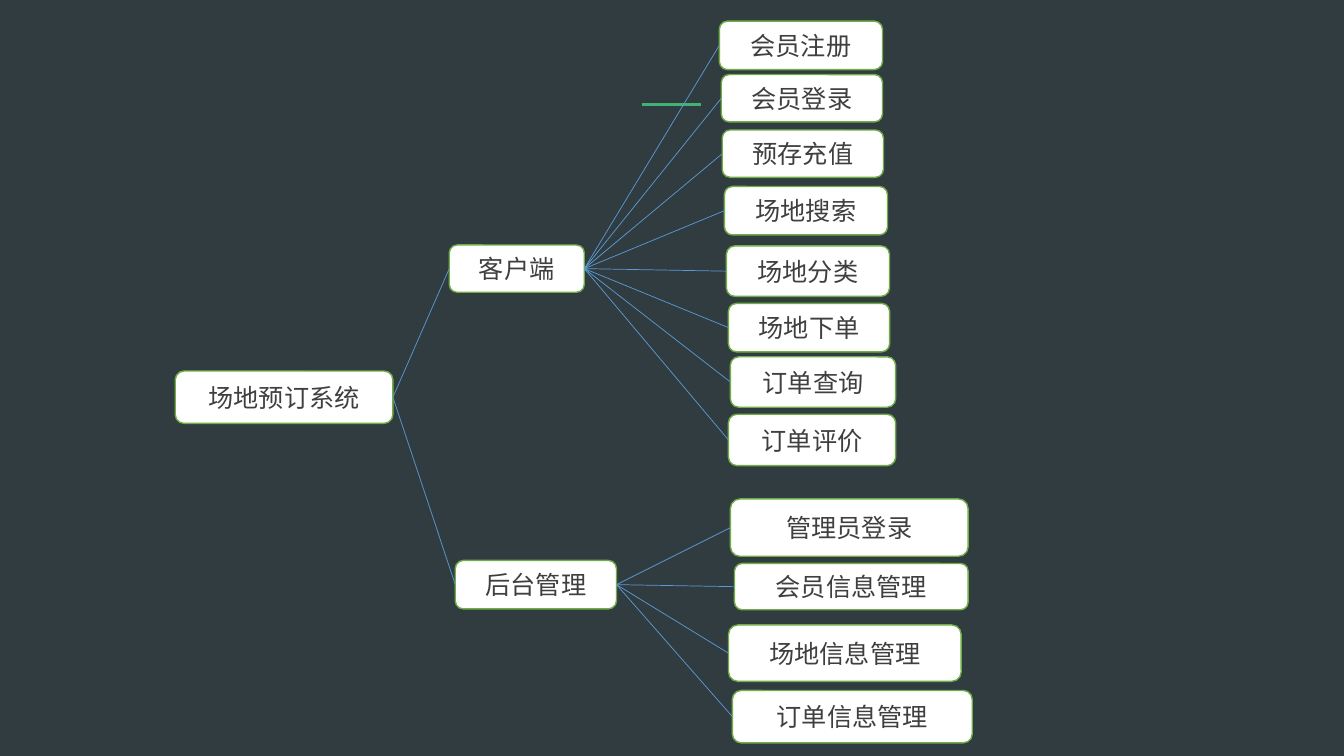
"""Build the function tree slide of a venue booking system."""
from dataclasses import dataclass

from lxml import etree
from pptx import Presentation
from pptx.dml.color import RGBColor
from pptx.enum.shapes import MSO_CONNECTOR, MSO_SHAPE
from pptx.enum.text import MSO_ANCHOR, PP_ALIGN
from pptx.oxml.ns import qn
from pptx.shapes.autoshape import Shape
from pptx.shapes.connector import Connector
from pptx.slide import Slide
from pptx.util import Pt

ROUNDED = MSO_SHAPE.ROUNDED_RECTANGLE
STRAIGHT = MSO_CONNECTOR.STRAIGHT
CENTER = PP_ALIGN.CENTER
MIDDLE = MSO_ANCHOR.MIDDLE
LEFT_SIDE, RIGHT_SIDE = 1, 3
BLANK_LAYOUT = 6

BACKGROUND = "313C41"
ACCENT = "41B176"
BOX_FILL = "FFFFFF"
BOX_LINE = "70AD47"
BRANCH_LINE = "5B9BD5"
TEXT_COLOR = "3F3F3F"
FONT = "Calibri"


@dataclass(frozen=True)
class Node:
    """A labelled box of the tree, with its place in points and its children."""

    label: str
    left: float
    top: float
    width: float
    height: float
    children: tuple["Node", ...] = ()


CLIENT = Node("客户端", 321.1, 175, 96.5, 33.8, (
    Node("会员注册", 514.1, 15.1, 116.6, 34.6),
    Node("会员登录", 515.5, 53.3, 115.2, 33.8),
    Node("预存充值", 516.2, 92.9, 115.2, 33.8),
    Node("场地搜索", 517.7, 133.2, 116.6, 34.6),
    Node("场地分类", 519.1, 175.7, 116.6, 36),
    Node("场地下单", 520.6, 216.7, 115.2, 34.6),
    Node("订单查询", 522, 254.9, 118.1, 36),
    Node("订单评价", 520.6, 295.9, 119.5, 36.7),
))
BACK_OFFICE = Node("后台管理", 325.4, 400.3, 115.2, 34.6, (
    Node("管理员登录", 522, 356.4, 169.9, 41),
    Node("会员信息管理", 524.9, 402.5, 167, 33.1),
    Node("场地信息管理", 520.6, 446.4, 166.3, 40.3),
    Node("订单信息管理", 523.4, 493.2, 171.4, 37.4),
))
SYSTEM = Node("场地预订系统", 125.3, 265, 155.5, 37.4, (CLIENT, BACK_OFFICE))


def color(value: str) -> RGBColor:
    """Turn a hex string into a colour."""
    return RGBColor.from_string(value)


def draw_line(page: Slide, start: tuple[float, float], end: tuple[float, float],
              line_color: str, weight: float) -> Connector:
    """Draw a straight line without a shadow."""
    line = page.shapes.add_connector(
        STRAIGHT, Pt(start[0]), Pt(start[1]), Pt(end[0]), Pt(end[1]))
    line.line.color.rgb = color(line_color)
    line.line.width = Pt(weight)
    etree.SubElement(line._element.spPr, qn("a:effectLst"))
    return line


def draw_box(page: Slide, node: Node) -> Shape:
    """Draw the rounded box of one node with its label."""
    box = page.shapes.add_shape(
        ROUNDED, Pt(node.left), Pt(node.top), Pt(node.width), Pt(node.height))
    box.shadow.inherit = False
    box.fill.solid()
    box.fill.fore_color.rgb = color(BOX_FILL)
    box.line.color.rgb = color(BOX_LINE)
    box.line.width = Pt(1)
    frame = box.text_frame
    frame.text = node.label
    frame.word_wrap = True
    frame.vertical_anchor = MIDDLE
    para = frame.paragraphs[0]
    para.alignment = CENTER
    span = para.runs[0]
    span.font.name = FONT
    span.font.size = Pt(18)
    span.font.color.rgb = color(TEXT_COLOR)
    return box


def draw_tree(page: Slide, node: Node) -> Shape:
    """Draw a node, everything below it and the joining branches."""
    box = draw_box(page, node)
    for child in node.children:
        child_box = draw_tree(page, child)
        branch = draw_line(page, (0, 0), (0, 0), BRANCH_LINE, 0.5)
        branch.begin_connect(box, RIGHT_SIDE)
        branch.end_connect(child_box, LEFT_SIDE)
    return box


def main() -> None:
    """Build the deck and save it."""
    deck = Presentation()
    deck.slide_width, deck.slide_height = Pt(960.48), Pt(540)
    page = deck.slides.add_slide(deck.slide_layouts[BLANK_LAYOUT])
    page.background.fill.solid()
    page.background.fill.fore_color.rgb = color(BACKGROUND)
    draw_line(page, (458.6, 74.9), (501.1, 74.9), ACCENT, 2)
    draw_tree(page, SYSTEM)
    deck.save("out.pptx")


if __name__ == "__main__":
    main()
